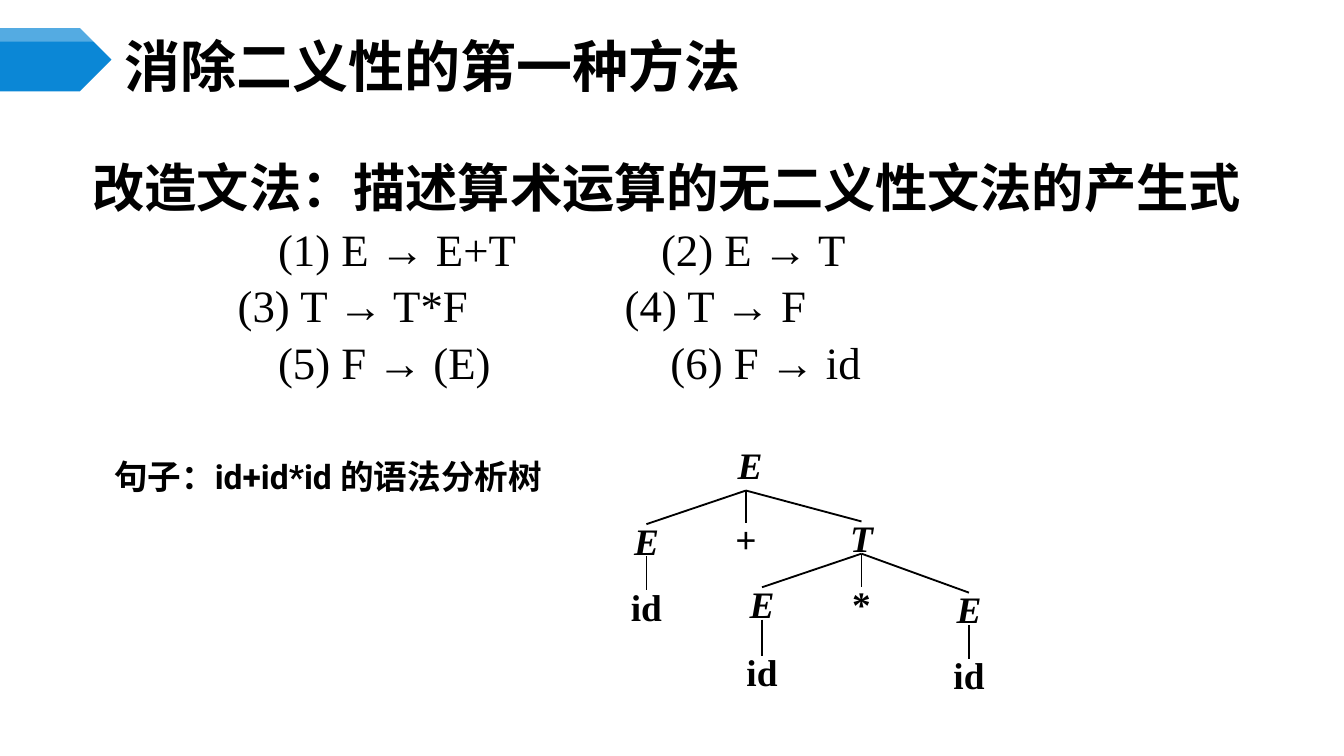
from lxml import etree
from pptx import Presentation
from pptx import util as u
from pptx.dml.color import RGBColor
from pptx.enum import shapes, text
from pptx.oxml.ns import qn

BLACK = RGBColor(0x00, 0x00, 0x00)
WHITE = RGBColor(0xFF, 0xFF, 0xFF)
BLUE = RGBColor(0x0B, 0x87, 0xD6)
CJK = "Noto Sans CJK SC"
SERIF = "Times New Roman"

deck = Presentation()
deck.slide_width = u.Inches(10)
deck.slide_height = deck.slide_width * 9 // 16
CELL = deck.slide_width / 100  # the grid has 100 columns of square cells
slide = deck.slides.add_slide(deck.slide_layouts[6])


def cells(*counts):
    return [round(count * CELL) for count in counts]


def add_run(paragraph, words, size, font, bold=True, italic=False):
    """Add black words, with the Chinese font set beside the Latin one."""
    run = paragraph.add_run()
    run.text = words
    run.font.size, run.font.name = u.Pt(size), font
    run.font.bold, run.font.italic = bold, italic
    run.font.color.rgb = BLACK
    latin = run._r.rPr.find(qn("a:latin"))
    east_asian = etree.Element(qn("a:ea"), typeface=CJK)
    latin.addnext(east_asian)


# Title with its arrow marker
title = slide.shapes.add_textbox(*cells(8.3, 2.9, 86.7, 3.9)).text_frame
title.word_wrap = True
title.vertical_anchor = text.MSO_ANCHOR.MIDDLE
add_run(title.paragraphs[0], "消除二义性的第一种方法", 30, CJK)

for top, height, colour, opacity in [(2.1, 4.7, BLUE, 100), (2.1, 1, WHITE, 30)]:
    marker = slide.shapes.add_shape(
        shapes.MSO_SHAPE.PENTAGON, *cells(0, top, 8.3, height))
    marker.shadow.inherit = False
    marker.fill.solid()
    marker.fill.fore_color.rgb = colour
    marker.line.fill.background()
    if opacity < 100:
        tint = marker.fill._xPr.find(qn("a:solidFill"))[0]
        etree.SubElement(tint, qn("a:alpha"), val=str(opacity * 1000))

# Grammar: heading, then two productions a line at their tab stops
grammar = slide.shapes.add_textbox(*cells(5.9, 11.6, 89.1, 42.5)).text_frame
grammar.word_wrap = True
heading = grammar.paragraphs[0]
heading.line_spacing = 0.9
add_run(heading, "改造文法", 28, CJK)
add_run(heading, "：描述算术运算的无二义性文法的产生式", 28, "Calibri")

production_rows = [
    ((13.8, "(1) E → E+T"), (42.3, "(2) E → T")),
    ((10.8, "(3) T → T*F"), (39.6, "(4) T → F")),
    ((13.8, "(5) F → (E)"), (43, "(6) F → id")),
]
for row in production_rows:
    line = grammar.add_paragraph()
    tab_list = etree.SubElement(line._p.get_or_add_pPr(), qn("a:tabLst"))
    for stop, production in row:
        etree.SubElement(tab_list, qn("a:tab"), pos=str(cells(stop)[0]), algn="l")
        add_run(line, "\t" + production, 24, SERIF, bold=False)
    line.line_spacing, line.space_before = 0.9, u.Pt(4.5)

sentence = slide.shapes.add_textbox(*cells(7.5, 33.4, 41.9, 4)).text_frame
sentence.word_wrap = True
add_run(sentence.paragraphs[0], "句子：id+id*id 的语法分析树", 18, "Roboto")

# Parse tree: key, label, centre column, top row, parent, branch width
NODE_WIDTH, NODE_HEIGHT = 5.5, 2.4
ROOT_FORK = cells(55.5, 36.5)
tree = [
    ("root", "E", 55.8, 33.4, None, 0),
    ("sum left", "E", 48.1, 39, "root", 1),
    ("plus", "+", 55.5, 38.9, "root", 0.75),
    ("term", "T", 64.1, 38.8, "root", 1),
    ("first id", "id", 48.1, 43.9, "sum left", 1),
    ("factor left", "E", 56.7, 43.7, "term", 1),
    ("times", "*", 64.1, 43.7, "term", 1),
    ("factor right", "E", 72.1, 44.1, "term", 1),
    ("second id", "id", 56.7, 48.8, "factor left", 1),
    ("third id", "id", 72.1, 49, "factor right", 1),
]
nodes = {}
for key, label, centre, top, parent, branch_width in tree:
    node = slide.shapes.add_textbox(
        *cells(centre - NODE_WIDTH / 2, top, NODE_WIDTH, NODE_HEIGHT))
    nodes[key] = node
    frame = node.text_frame
    frame.word_wrap = True
    frame.vertical_anchor = text.MSO_ANCHOR.MIDDLE
    frame.margin_top = frame.margin_bottom = 0
    frame.paragraphs[0].alignment = text.PP_ALIGN.CENTER
    add_run(frame.paragraphs[0], label, 20, SERIF, italic=label in ("E", "T"))
    if parent is None:
        continue
    branch = slide.shapes.add_connector(
        shapes.MSO_CONNECTOR.STRAIGHT, *ROOT_FORK, *cells(centre, top))
    if parent != "root":
        branch.begin_connect(nodes[parent], 2)
    branch.end_connect(node, 0)
    branch.line.color.rgb = BLACK
    branch.line.width = u.Pt(branch_width)
    etree.SubElement(branch._element.spPr, qn("a:effectLst"))

deck.save("out.pptx")
